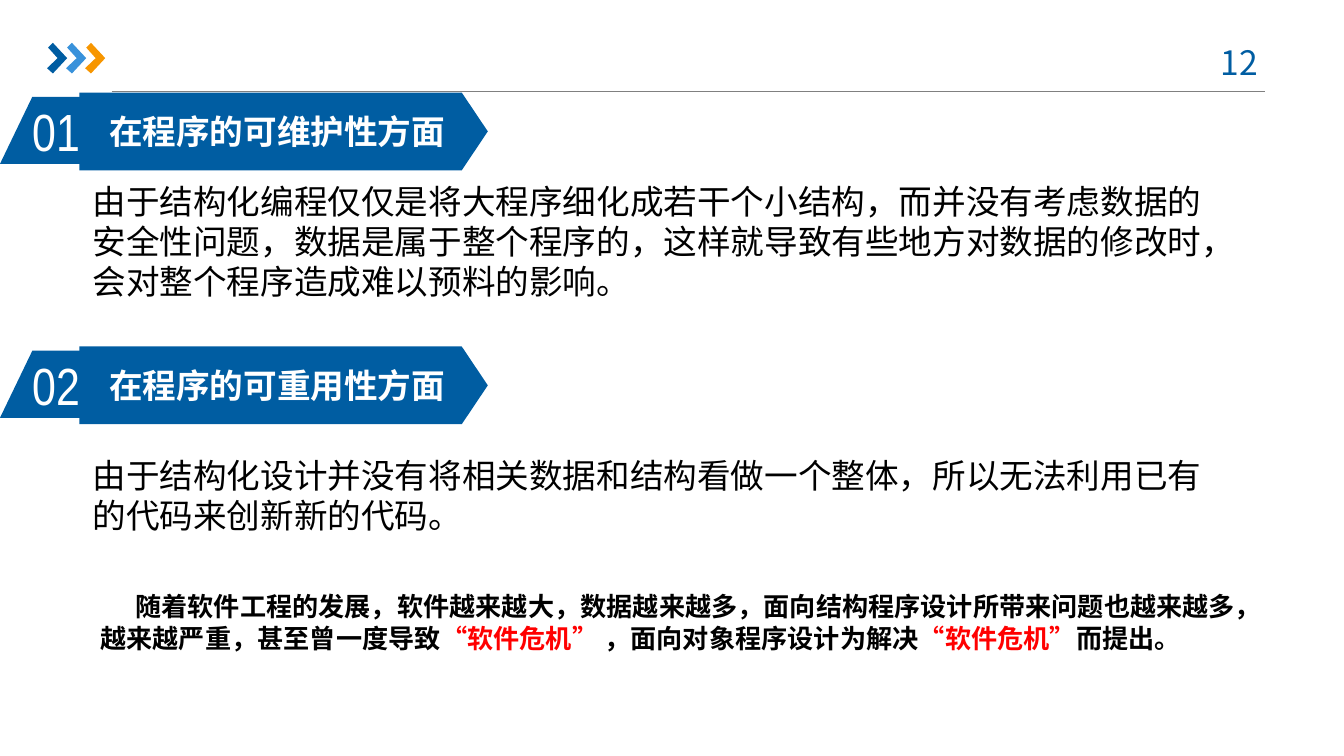
from dataclasses import dataclass

from lxml.etree import SubElement
from pptx import Presentation
from pptx.dml.color import RGBColor
from pptx.enum.shapes import MSO_CONNECTOR as Connector, MSO_SHAPE as Shape
from pptx.enum.text import MSO_ANCHOR as Anchor, PP_ALIGN as Align
from pptx.oxml.ns import qn
from pptx.util import Cm, Pt


@dataclass(frozen=True)
class Theme:
    blue: str = "005DA2"
    light_blue: str = "3992DB"
    orange: str = "F79600"
    gray: str = "808080"
    black: str = "000000"
    white: str = "FFFFFF"
    red: str = "FF0000"
    body_size: int = 18
    number_size: int = 28
    summary_size: int = 14
    body_font: str = "Arial"
    heading_font: str = "Calibri"
    number_font: str = "Arial Narrow"
    chinese_font: str = "Noto Sans CJK SC"


THEME = Theme()


def add_run(paragraph, text, font, size, color, bold=False):
    run = paragraph.add_run()
    run.text = text
    run.font.name = font
    run.font.size = Pt(size)
    run.font.bold = bold
    run.font.color.rgb = RGBColor.from_string(color)
    east_asian = SubElement(run.font._element, qn("a:ea"))
    east_asian.set("typeface", THEME.chinese_font)


def add_text_box(slide, left, top, width, height):
    """Add a wrapping text box and return its text frame."""
    box = slide.shapes.add_textbox(Cm(left), Cm(top), Cm(width), Cm(height))
    box.text_frame.word_wrap = True
    return box.text_frame


def paint(shape, color):
    shape.shadow.inherit = False
    shape.fill.solid()
    shape.fill.fore_color.rgb = RGBColor.from_string(color)
    shape.line.fill.background()


def add_preset(slide, kind, adjustment, left, top, width, height):
    shape = slide.shapes.add_shape(kind, Cm(left), Cm(top), Cm(width), Cm(height))
    shape.adjustments[0] = adjustment
    paint(shape, THEME.blue)
    return shape


def add_header(slide, page):
    rule = slide.shapes.add_connector(
        Connector.STRAIGHT, Cm(2.11), Cm(1.73), Cm(23.9), Cm(1.73))
    rule.line.color.rgb = RGBColor.from_string(THEME.gray)
    rule.line.width = Pt(0.75)
    SubElement(rule._element.spPr, qn("a:effectLst"))

    outline = [(0.02, 0.09), (0.11, 0), (0.38, 0.29), (0.11, 0.58), (0, 0.48), (0.2, 0.29)]
    for index, color in enumerate((THEME.blue, THEME.light_blue, THEME.orange)):
        left, top = 0.89 + 0.36 * index, 0.81
        points = [(Cm(left + x), Cm(top + y)) for x, y in outline]
        builder = slide.shapes.build_freeform(*points[0])
        builder.add_line_segments(points[1:], close=True)
        paint(builder.convert_to_shape(), color)

    paragraph = add_text_box(slide, 22.5, 0.66, 1.85, 1.02).paragraphs[0]
    paragraph.alignment = Align.CENTER
    add_run(paragraph, page, THEME.chinese_font, THEME.body_size, THEME.blue)


def add_heading(slide, number, title, top):
    banner = add_preset(slide, Shape.PENTAGON, 0.335, 1.5, top, 7.72, 1.47)
    banner.text_frame.vertical_anchor = Anchor.MIDDLE
    paragraph = banner.text_frame.paragraphs[0]
    paragraph.alignment = Align.CENTER
    add_run(paragraph, title, THEME.heading_font, THEME.body_size, THEME.white, True)

    add_preset(slide, Shape.PARALLELOGRAM, 0.482, 0, top + 0.08, 2.24, 1.27)
    paragraph = add_text_box(slide, 0.36, top, 2.13, 1.45).paragraphs[0]
    add_run(paragraph, number, THEME.number_font, THEME.number_size, THEME.white)


def add_body(slide, text, top, width, height):
    paragraph = add_text_box(slide, 1.5, top, width, height).paragraphs[0]
    paragraph.line_spacing = Pt(21.5)
    add_run(paragraph, text, THEME.body_font, THEME.body_size, THEME.black)


def add_summary(slide, parts):
    frame = add_text_box(slide, 1.9, 11.15, 21.6, 1.2)
    frame.margin_left = frame.margin_right = frame.margin_top = frame.margin_bottom = 0
    paragraph = frame.paragraphs[0]
    paragraph.line_spacing = Pt(17)
    paragraph._p.get_or_add_pPr().set("indent", str(Cm(0.66)))
    for text, color in parts:
        add_run(paragraph, text, THEME.chinese_font, THEME.summary_size, color, True)


def main():
    presentation = Presentation()
    presentation.slide_width, presentation.slide_height = Cm(25.4), Cm(14.29)
    slide = presentation.slides.add_slide(presentation.slide_layouts[6])

    add_header(slide, "12")
    add_body(slide, "由于结构化设计并没有将相关数据和结构看做一个整体，"
             "所以无法利用已有的代码来创新新的代码。", 8.48, 21.6, 1.8)
    add_body(slide, "由于结构化编程仅仅是将大程序细化成若干个小结构，"
             "而并没有考虑数据的安全性问题，数据是属于整个程序的，"
             "这样就导致有些地方对数据的修改时，会对整个程序造成难以预料的影响。",
             3.3, 22, 2.57)
    add_heading(slide, "01", "在程序的可维护性方面", 1.75)
    add_heading(slide, "02", "在程序的可重用性方面", 6.55)
    add_summary(slide, [
        ("随着软件工程的发展，软件越来越大，数据越来越多，"
         "面向结构程序设计所带来问题也越来越多，越来越严重，甚至曾一度导致", THEME.black),
        ("“软件危机”", THEME.red),
        (" ，面向对象程序设计为解决", THEME.black),
        ("“软件危机”", THEME.red),
        ("而提出。", THEME.black),
    ])
    presentation.save("out.pptx")


if __name__ == "__main__":
    main()
